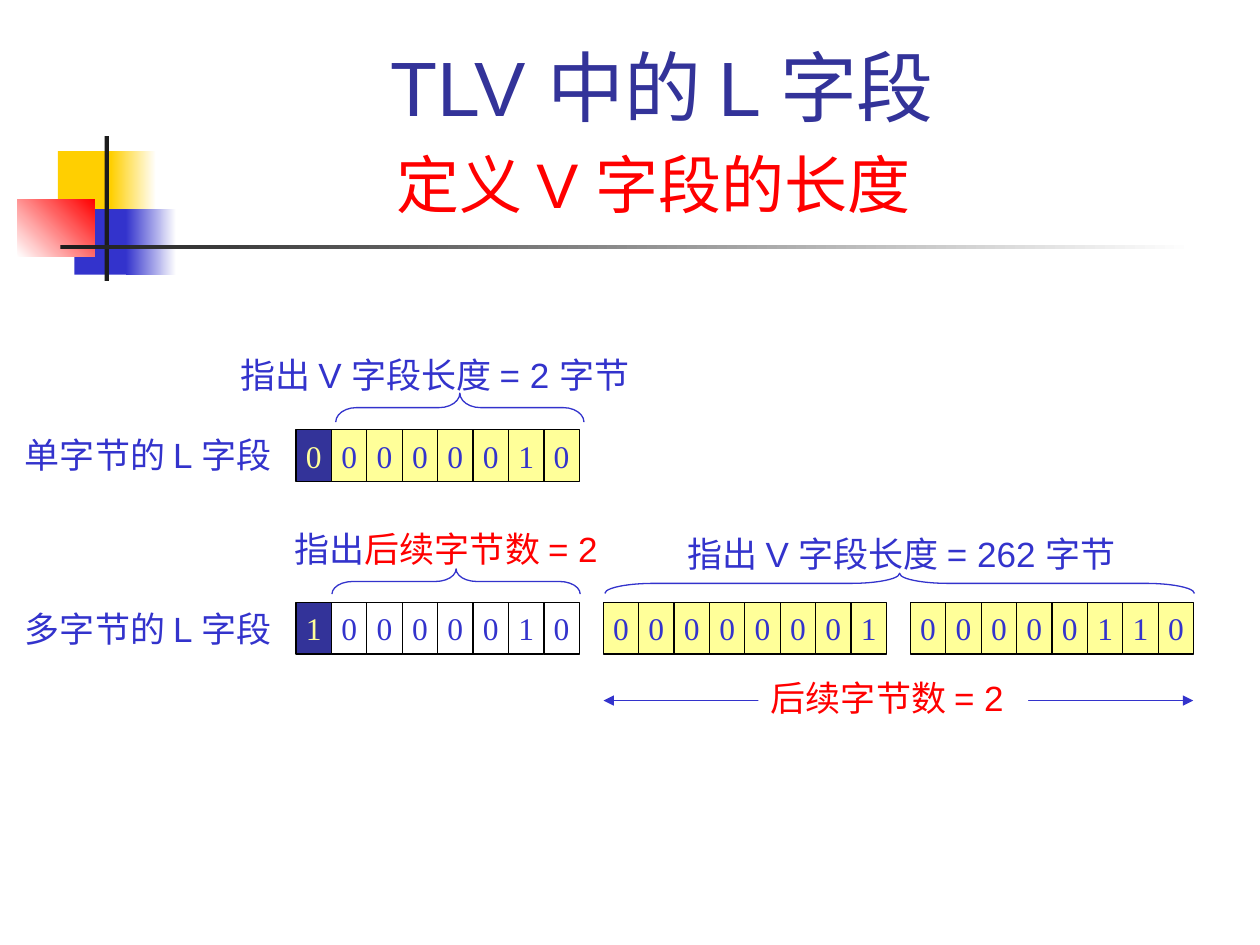
from dataclasses import dataclass
from typing import Any, NamedTuple

from lxml import etree
from pptx import Presentation
from pptx import util as u
from pptx.dml.color import RGBColor
from pptx.enum import shapes, text
from pptx.oxml import ns


@dataclass(frozen=True)
class Theme:
    navy: str = "333399"
    blue: str = "3333CC"
    red: str = "FF0000"
    gold: str = "FFCF01"
    cream: str = "FFFF99"
    white: str = "FFFFFF"
    ink: str = "1C1C1C"
    black: str = "000000"
    sans: str = "Arial"
    serif: str = "Times New Roman"
    title: int = 44
    subtitle: int = 36
    label: int = 20
    bit: int = 18
    line: float = 0.75


class Box(NamedTuple):
    """A place on a grid of 100 columns by 75 rows."""
    column: float
    row: float
    columns: float
    rows: float


class Run(NamedTuple):
    words: str
    color: str
    size: int


class Block(NamedTuple):
    box: Box
    color: str
    fade_to: str = ""
    angle: int = 0


class Octet(NamedTuple):
    bits: str
    position: int
    row: float
    color: str
    flagged: bool = False


class Label(NamedTuple):
    box: Box
    runs: list[Run]
    wrap: bool = False


THEME = Theme()
UNIT = u.Inches(0.1)
BIT_COLUMNS, BIT_ROWS = 2.81, 4.1
FIRST_COLUMN, OCTET_PITCH = 23.5, 24.38
SINGLE_ROW, MULTI_ROW = 34.1, 47.8


def label_run(words: str, color: str = THEME.blue) -> Run:
    return Run(words, color, THEME.label)


# Corner ornament and rule under the title
ORNAMENT = [
    Block(Box(4.6, 12, 4.8, 5.2), THEME.gold),
    Block(Box(8.8, 12, 3.6, 5.2), THEME.gold, THEME.white),
    Block(Box(5.9, 16.6, 4.6, 5.2), THEME.blue),
    Block(Box(10, 16.6, 4, 5.2), THEME.blue, THEME.white),
    Block(Box(1.4, 15.8, 6.1, 4.6), THEME.white, THEME.red, 45),
    Block(Box(8.3, 10.8, 0.35, 11.5), THEME.ink),
    Block(Box(4.8, 19.45, 90, 0.35), THEME.ink, THEME.white),
]

OCTETS = [
    Octet("00000010", 0, SINGLE_ROW, THEME.cream, True),
    Octet("10000010", 0, MULTI_ROW, THEME.white, True),
    Octet("00000001", 1, MULTI_ROW, THEME.cream),
    Octet("00000110", 2, MULTI_ROW, THEME.cream),
]

# Area that each upward brace spans
BRACES = [
    Box(26.65, 31.2, 19.7, 2.3),
    Box(26.35, 45.15, 19.7, 2),
    Box(48, 45.5, 46.8, 1.6),
]

LABELS = [
    Label(Box(18.1, 27.6, 37, 4.4), [label_run("指出 V 字段长度 = 2 字节")]),
    Label(Box(1, 33.9, 23.7, 4.4), [label_run("单字节的 L 字段")]),
    Label(Box(53.6, 41.8, 40.1, 4.4), [label_run("指出 V 字段长度 = 262 字节")]),
    Label(Box(1, 47.7, 23.7, 4.4), [label_run("多字节的 L 字段")]),
    Label(Box(22.4, 41.4, 29.1, 4.4),
          [label_run("指出"), label_run("后续字节数 = 2", THEME.red)], True),
]


def place(box: Box) -> list[int]:
    return [round(value * UNIT) for value in box]


def rgb(color: str) -> RGBColor:
    return RGBColor.from_string(color)


def apply(target: Any, values: dict[str, Any]) -> None:
    for name, value in values.items():
        setattr(target, name, value)


def write(paragraph: Any, runs: list[Run], font: str = THEME.sans) -> None:
    for words, color, size in runs:
        run = paragraph.add_run()
        run.text = words
        apply(run.font, {"name": font, "size": u.Pt(size)})
        run.font.color.rgb = rgb(color)


def draw_block(slide: Any, block: Block) -> Any:
    shape = slide.shapes.add_shape(shapes.MSO_SHAPE.RECTANGLE, *place(block.box))
    shape.shadow.inherit = False
    shape.line.fill.background()
    if block.fade_to:
        shape.fill.gradient()
        shape.fill.gradient_angle = block.angle
        for stop, color in zip(shape.fill.gradient_stops, (block.color, block.fade_to)):
            stop.color.rgb = rgb(color)
    else:
        shape.fill.solid()
        shape.fill.fore_color.rgb = rgb(block.color)
    return shape


def draw_octet(slide: Any, octet: Octet) -> None:
    left = FIRST_COLUMN + octet.position * OCTET_PITCH
    for index, bit in enumerate(octet.bits):
        flag = octet.flagged and index == 0
        box = Box(left + index * BIT_COLUMNS, octet.row, BIT_COLUMNS, BIT_ROWS)
        shape = draw_block(slide, Block(box, THEME.navy if flag else octet.color))
        shape.line.color.rgb = rgb(THEME.black)
        shape.line.width = u.Pt(THEME.line)
        apply(shape.text_frame, {"word_wrap": False,
                                 "vertical_anchor": text.MSO_ANCHOR.MIDDLE})
        paragraph = shape.text_frame.paragraphs[0]
        paragraph.alignment = text.PP_ALIGN.CENTER
        color = THEME.cream if flag else THEME.blue
        write(paragraph, [Run(bit, color, THEME.bit)], THEME.serif)


def draw_brace(slide: Any, area: Box) -> None:
    length, depth = area.columns, area.rows
    upright = Box(area.column + (length - depth) / 2,
                  area.row + (depth - length) / 2, depth, length)
    shape = slide.shapes.add_shape(shapes.MSO_SHAPE.RIGHT_BRACE, *place(upright))
    shape.rotation = 270
    shape.adjustments[0] = length / 12 / depth
    shape.shadow.inherit = False
    shape.fill.background()
    shape.line.color.rgb = rgb(THEME.blue)
    shape.line.width = u.Pt(THEME.line)


def draw_label(slide: Any, label: Label) -> None:
    frame = slide.shapes.add_textbox(*place(label.box)).text_frame
    apply(frame, {"word_wrap": label.wrap,
                  "auto_size": text.MSO_AUTO_SIZE.SHAPE_TO_FIT_TEXT})
    write(frame.paragraphs[0], label.runs)


def draw_title(slide: Any) -> None:
    frame = slide.shapes.add_textbox(*place(Box(12.6, 2.3, 79.9, 16))).text_frame
    apply(frame, {"word_wrap": True, "vertical_anchor": text.MSO_ANCHOR.BOTTOM})
    paragraph = frame.paragraphs[0]
    paragraph.alignment = text.PP_ALIGN.CENTER
    write(paragraph, [Run("TLV 中的 L 字段", THEME.navy, THEME.title)])
    paragraph.add_line_break()
    write(paragraph, [Run("定义 V 字段的长度", THEME.red, THEME.subtitle),
                      Run(" ", THEME.red, THEME.title)])


def draw_span(slide: Any) -> None:
    """A two-headed arrow with its caption set into the middle."""
    start, end, row = (round(value * UNIT) for value in (47.9, 94.7, 55.6))
    arrow = slide.shapes.add_connector(shapes.MSO_CONNECTOR.STRAIGHT, start, row, end, row)
    arrow.line.color.rgb = rgb(THEME.blue)
    arrow.line.width = u.Pt(THEME.line)
    for tag in ("a:headEnd", "a:tailEnd"):
        etree.SubElement(arrow.line._get_or_add_ln(), ns.qn(tag), type="triangle")
    etree.SubElement(arrow._element.spPr, ns.qn("a:effectLst"))
    caption = draw_block(slide, Block(Box(60.2, 53.2, 21.4, 7.7), THEME.white))
    apply(caption.text_frame, {"word_wrap": True, "vertical_anchor": text.MSO_ANCHOR.TOP})
    paragraph = caption.text_frame.paragraphs[0]
    paragraph.alignment = text.PP_ALIGN.LEFT
    write(paragraph, [label_run("后续字节数 = 2", THEME.red)])


def main() -> None:
    presentation = Presentation()
    apply(presentation, {"slide_width": 100 * UNIT, "slide_height": 75 * UNIT})
    slide = presentation.slides.add_slide(presentation.slide_layouts[6])
    for block in ORNAMENT:
        draw_block(slide, block)
    draw_title(slide)
    for draw, items in ((draw_octet, OCTETS), (draw_brace, BRACES), (draw_label, LABELS)):
        for item in items:
            draw(slide, item)
    draw_span(slide)
    presentation.save("out.pptx")


if __name__ == "__main__":
    main()
